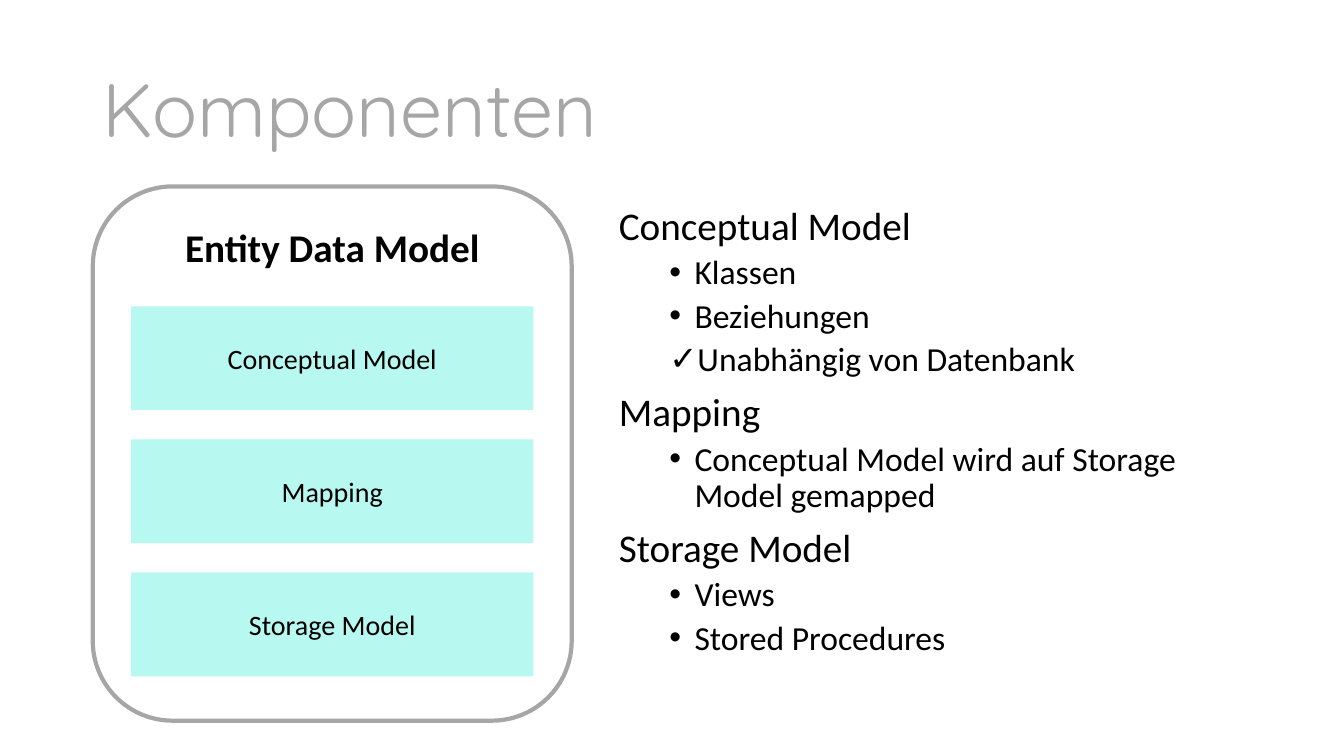
from lxml import etree
from pptx import Presentation
from pptx.dml.color import RGBColor
from pptx.enum.shapes import MSO_SHAPE
from pptx.enum.text import MSO_ANCHOR, PP_ALIGN
from pptx.oxml.ns import qn
from pptx.util import Inches, Pt

RECT, ROUNDED = MSO_SHAPE.RECTANGLE, MSO_SHAPE.ROUNDED_RECTANGLE
LEFT, CENTER = PP_ALIGN.LEFT, PP_ALIGN.CENTER
TOP, MIDDLE = MSO_ANCHOR.TOP, MSO_ANCHOR.MIDDLE
GRAY, TURQUOISE = "A6A6A6", "11E9CF"


def rgb(value):
    return RGBColor.from_string(value)


def write(p, text, size=20, font="Calibri", color="000000", bold=False,
          align=LEFT, line=1.0, before=0, bullet=None):
    p.alignment, p.line_spacing, p.space_before = align, line, Pt(before)
    r = p.add_run()
    r.text = text
    r.font.size, r.font.name, r.font.bold = Pt(size), font, bold
    r.font.color.rgb = rgb(color)
    if bullet:
        p.level = 1
        pPr = p._p.get_or_add_pPr()
        pPr.set("marL", str(Inches(0.75)))
        pPr.set("indent", str(Inches(-0.25)))
        etree.SubElement(pPr, qn("a:buFont")).set("typeface", "Arial")
        etree.SubElement(pPr, qn("a:buChar")).set("char", bullet)


prs = Presentation()
prs.slide_width, prs.slide_height = Inches(13.33), Inches(7.5)
s = prs.slides.add_slide(prs.slide_layouts[6])

# Model frame
margin, frame_top, frame_w, frame_h = 0.92, 1.85, 4.75, 5.3
sp = s.shapes.add_shape(ROUNDED, Inches(margin), Inches(frame_top),
                        Inches(frame_w), Inches(frame_h))
sp.shadow.inherit = False
sp.fill.solid()
sp.fill.fore_color.rgb = rgb("FFFFFF")
sp.line.color.rgb = rgb(GRAY)
sp.line.width = Pt(3)

# Layers of the model, evenly stacked inside the frame
inset, layer_top, layer_h, pitch = 0.38, 3.04, 1.03, 1.32
layer_left, layer_w = margin + inset, frame_w - 2 * inset
for i, name in enumerate(["Conceptual Model", "Mapping", "Storage Model"]):
    sp = s.shapes.add_shape(RECT, Inches(layer_left), Inches(layer_top + i * pitch),
                            Inches(layer_w), Inches(layer_h))
    sp.shadow.inherit = False
    sp.line.fill.background()
    sp.fill.solid()
    sp.fill.fore_color.rgb = rgb(TURQUOISE)
    fill_color = sp.element.spPr.find(qn("a:solidFill")).find(qn("a:srgbClr"))
    etree.SubElement(fill_color, qn("a:alpha")).set("val", "30000")
    tf = sp.text_frame
    tf.vertical_anchor = MIDDLE
    write(tf.paragraphs[0], name, align=CENTER)

# Title, frame heading and explanations
title = [("Komponenten", dict(size=54, font="Quicksand", color=GRAY, line=0.9))]
heading = [("Entity Data Model", dict(size=28, bold=True, align=CENTER))]
topic = dict(size=28, line=0.9, before=10)
point = dict(size=24, line=0.9, before=5, bullet="•")
explanations = [
    ("Conceptual Model", topic),
    ("Klassen", point),
    ("Beziehungen", point),
    ("Unabhängig von Datenbank", {**point, "bullet": "✓"}),
    ("Mapping", topic),
    ("Conceptual Model wird auf Storage Model gemapped", point),
    ("Storage Model", topic),
    ("Views", point),
    ("Stored Procedures", point),
]
for box, anchor, lines in [
    ((margin, 0.4, 11.5, 1.45), MIDDLE, title),
    ((layer_left, 2.16, layer_w, 0.57), MIDDLE, heading),
    ((6.04, 2, 6.37, 5.15), TOP, explanations),
]:
    tf = s.shapes.add_textbox(*map(Inches, box)).text_frame
    tf.word_wrap = True
    tf.vertical_anchor = anchor
    for i, (text, style) in enumerate(lines):
        write(tf.add_paragraph() if i else tf.paragraphs[0], text, **style)

prs.save("out.pptx")
